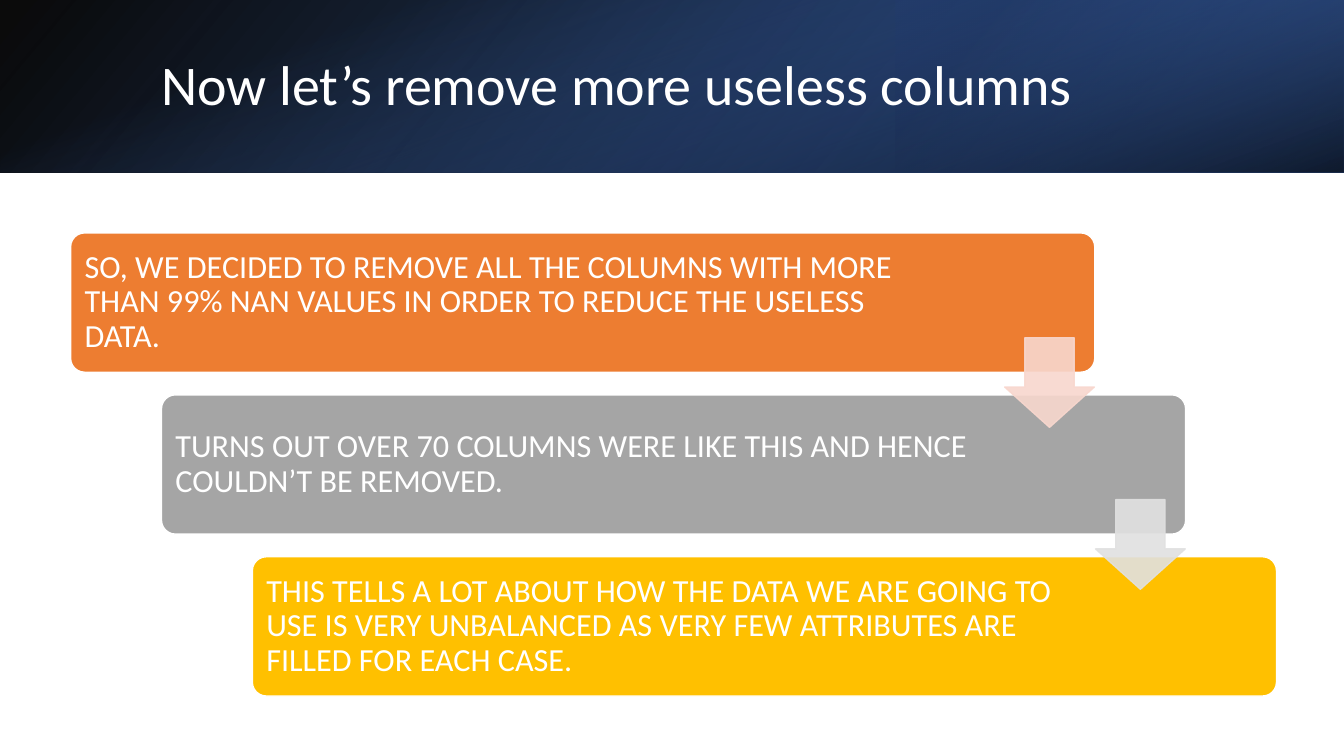
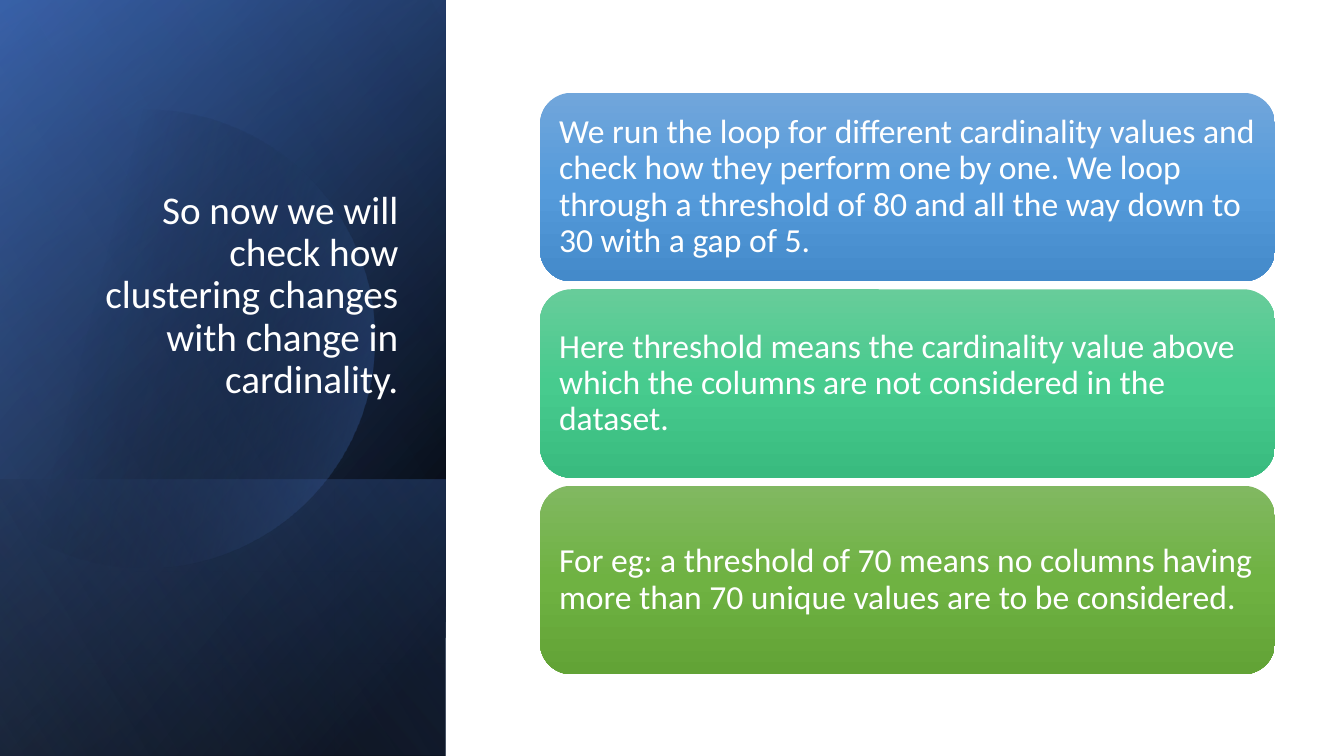
from math import acos, cos, sin

from lxml.etree import SubElement
from pptx import Presentation
from pptx.dml.color import RGBColor
from pptx.enum.shapes import MSO_SHAPE
from pptx.enum.text import MSO_ANCHOR, MSO_AUTO_SIZE, PP_ALIGN
from pptx.oxml.ns import qn
from pptx.util import Cm, Pt

FONT = "Calibri"
WHITE = RGBColor(0xFF, 0xFF, 0xFF)
BLACK = RGBColor(0x00, 0x00, 0x00)
BLUE = RGBColor(0x44, 0x72, 0xC4)
DEEP_BLUE = RGBColor(0x2F, 0x55, 0x97)
NAVY = RGBColor(0x20, 0x38, 0x64)
PALE_BLUE = RGBColor(0x8F, 0xAA, 0xDC)
ORANGE = RGBColor(0xED, 0x7D, 0x31)
GREY = RGBColor(0xA5, 0xA5, 0xA5)
GOLD = RGBColor(0xFF, 0xC0, 0x00)
PALE_ORANGE = RGBColor(0xF8, 0xD7, 0xCE)
PALE_GREY = RGBColor(0xE1, 0xE1, 0xE1)
SKY_SHADES = [RGBColor(0x71, 0xA6, 0xDB), RGBColor(0x55, 0x9B, 0xDB), RGBColor(0x44, 0x8A, 0xCA)]
MINT_SHADES = [RGBColor(0x67, 0xCC, 0x9A), RGBColor(0x47, 0xCB, 0x8E), RGBColor(0x39, 0xBB, 0x7F)]
LEAF_SHADES = [RGBColor(0x81, 0xB8, 0x61), RGBColor(0x6F, 0xB2, 0x42), RGBColor(0x62, 0xA3, 0x36)]

SLIDE_WIDTH, SLIDE_HEIGHT = 33.87, 19.05
HEADER_HEIGHT = 4.36
SIDEBAR_WIDTH = 11.23


def paint_gradient(shape, stops, angle):
    shape.shadow.inherit = False
    shape.line.fill.background()
    shape.fill.gradient()
    gradient = shape.element.spPr.find(qn("a:gradFill"))
    stop_list = gradient.find(qn("a:gsLst"))
    stop_list.clear()
    for position, color, opacity in stops:
        stop = SubElement(stop_list, qn("a:gs"), pos=str(position * 1000))
        tint = SubElement(stop, qn("a:srgbClr"), val=str(color))
        SubElement(tint, qn("a:alpha"), val=str(opacity * 1000))
    gradient.find(qn("a:lin")).set("ang", str(angle * 60000))


def write_text(shape, text, size, alignment, anchor):
    frame = shape.text_frame
    frame.word_wrap = True
    frame.auto_size = MSO_AUTO_SIZE.NONE
    frame.vertical_anchor = anchor
    paragraph = frame.paragraphs[0]
    paragraph.alignment = alignment
    paragraph.line_spacing = 0.9
    run = paragraph.add_run()
    run.text = text
    run.font.name = FONT
    run.font.size = Pt(size)
    run.font.color.rgb = WHITE


presentation = Presentation()
presentation.slide_width = Cm(SLIDE_WIDTH)
presentation.slide_height = Cm(SLIDE_HEIGHT)
title_only = presentation.slide_layouts[5]
columns_slide = presentation.slides.add_slide(title_only)
cardinality_slide = presentation.slides.add_slide(title_only)

header = (0, 0, SLIDE_WIDTH, HEADER_HEIGHT)
header_end = (SLIDE_WIDTH * 2 / 3, 0, SLIDE_WIDTH / 3, HEADER_HEIGHT)
sidebar = (0, 0, SIDEBAR_WIDTH, SLIDE_HEIGHT)
sidebar_foot = (0, 12.09, SIDEBAR_WIDTH, 6.96)
bands = [
    (columns_slide, header, 0, True, [(0, BLACK, 96), (100, DEEP_BLUE, 100)], 140),
    (columns_slide, header_end, 180, True, [(19, NAVY, 68), (100, BLUE, 79)], 320),
    (columns_slide, header, 90, False, [(23, BLUE, 0), (99, BLACK, 74)], 340),
    (cardinality_slide, sidebar, 90, True, [(8, BLACK, 100), (100, DEEP_BLUE, 100)], 50),
    (cardinality_slide, sidebar, 90, True, [(0, BLACK, 0), (99, BLUE, 46)], 30),
    (cardinality_slide, sidebar_foot, 90, True, [(2, BLUE, 29), (100, BLACK, 30)], 130),
    (cardinality_slide, sidebar, 90, True, [(0, BLACK, 0), (99, PALE_BLUE, 11)], 120),
]
for slide, (left, top, width, height), rotation, flipped, stops, angle in bands:
    if rotation == 90:
        left, top = left + (width - height) / 2, top + (height - width) / 2
        width, height = height, width
    band = slide.shapes.add_shape(MSO_SHAPE.RECTANGLE, Cm(left), Cm(top), Cm(width), Cm(height))
    band.rotation = rotation
    if flipped:
        band.element.spPr.find(qn("a:xfrm")).set("flipH", "1")
    paint_gradient(band, stops, angle)

disc_x, disc_y, disc_radius = 3.66, 8.53, 5.77
edge_angle = acos(-disc_x / disc_radius)
arc_steps = 90
arc = []
for step in range(arc_steps + 1):
    turn = edge_angle * (2 * step / arc_steps - 1)
    arc.append((Cm(disc_x + disc_radius * cos(turn)), Cm(disc_y + disc_radius * sin(turn))))
disc_outline = cardinality_slide.shapes.build_freeform(*arc[0])
disc_outline.add_line_segments(arc[1:], close=True)
disc = disc_outline.convert_to_shape()
paint_gradient(disc, [(29, BLACK, 0), (100, BLUE, 43)], 14)
band.element.addprevious(disc.element)

titles = [
    (columns_slide, "Now let’s remove more useless columns", 40,
     (3.81, 0.97, 27.89, 2.44), PP_ALIGN.LEFT, MSO_ANCHOR.MIDDLE),
    (cardinality_slide, "So now we will check how clustering changes with change in cardinality.", 28,
     (1.63, 4.67, 8.66, 5.59), PP_ALIGN.RIGHT, MSO_ANCHOR.BOTTOM),
]
for slide, wording, size, box, alignment, anchor in titles:
    title = slide.shapes.title
    title.left, title.top, title.width, title.height = [Cm(length) for length in box]
    write_text(title, wording, size, alignment, anchor)
    title.element.getparent().append(title.element)

steps = [
    ("SO, WE DECIDED TO REMOVE ALL THE COLUMNS WITH MORE THAN 99% NAN VALUES "
     "IN ORDER TO REDUCE THE USELESS DATA.", ORANGE, 3.84),
    ("TURNS OUT OVER 70 COLUMNS WERE LIKE THIS AND HENCE COULDN’T BE REMOVED.", GREY, 4.8),
    ("THIS TELLS A LOT ABOUT HOW THE DATA WE ARE GOING TO USE IS VERY UNBALANCED "
     "AS VERY FEW ATTRIBUTES ARE FILLED FOR EACH CASE.", GOLD, 4.8),
]
points = [
    ("We run the loop for different cardinality values and check how they perform one by one. "
     "We loop through a threshold of 80 and all the way down to 30 with a gap of 5.", SKY_SHADES),
    ("Here threshold means the cardinality value above which the columns are not considered "
     "in the dataset.", MINT_SHADES),
    ("For eg: a threshold of 70 means no columns having more than 70 unique values "
     "are to be considered.", LEAF_SHADES),
]
CARD_INSET = Cm(0.25)
STEP_RIGHT, STEP_DOWN = 2.29, 4.08

for index, (wording, color, right_inset) in enumerate(steps):
    card = columns_slide.shapes.add_shape(
        MSO_SHAPE.ROUNDED_RECTANGLE, Cm(1.78 + index * STEP_RIGHT),
        Cm(5.87 + index * STEP_DOWN), Cm(25.81), Cm(3.51))
    card.adjustments[0] = 0.1
    card.shadow.inherit = False
    card.fill.solid()
    card.fill.fore_color.rgb = color
    card.line.color.rgb = WHITE
    card.line.width = Pt(1)
    card.text_frame.margin_left = CARD_INSET
    card.text_frame.margin_right = Cm(right_inset)
    write_text(card, wording, 23, PP_ALIGN.LEFT, MSO_ANCHOR.MIDDLE)

for index, color in enumerate([PALE_ORANGE, PALE_GREY]):
    arrow = columns_slide.shapes.add_shape(
        MSO_SHAPE.DOWN_ARROW, Cm(25.32 + index * STEP_RIGHT),
        Cm(8.51 + index * STEP_DOWN), Cm(2.26), Cm(2.26))
    arrow.adjustments[0] = 0.55
    arrow.adjustments[1] = 0.45
    arrow.shadow.inherit = False
    arrow.fill.solid()
    arrow.fill.fore_color.rgb = color
    arrow.line.color.rgb = color
    arrow.line.width = Pt(1)
    for tint in arrow.element.spPr.iter(qn("a:srgbClr")):
        SubElement(tint, qn("a:alpha"), val="90000")

for index, (wording, shades) in enumerate(points):
    card = cardinality_slide.shapes.add_shape(
        MSO_SHAPE.ROUNDED_RECTANGLE, Cm(13.61), Cm(2.34 + index * 4.95), Cm(18.52), Cm(4.75))
    paint_gradient(card, [(place * 50, shade, 100) for place, shade in enumerate(shades)], 90)
    card.text_frame.margin_left = CARD_INSET
    card.text_frame.margin_right = CARD_INSET
    write_text(card, wording, 24, PP_ALIGN.LEFT, MSO_ANCHOR.MIDDLE)

presentation.save("out.pptx")
